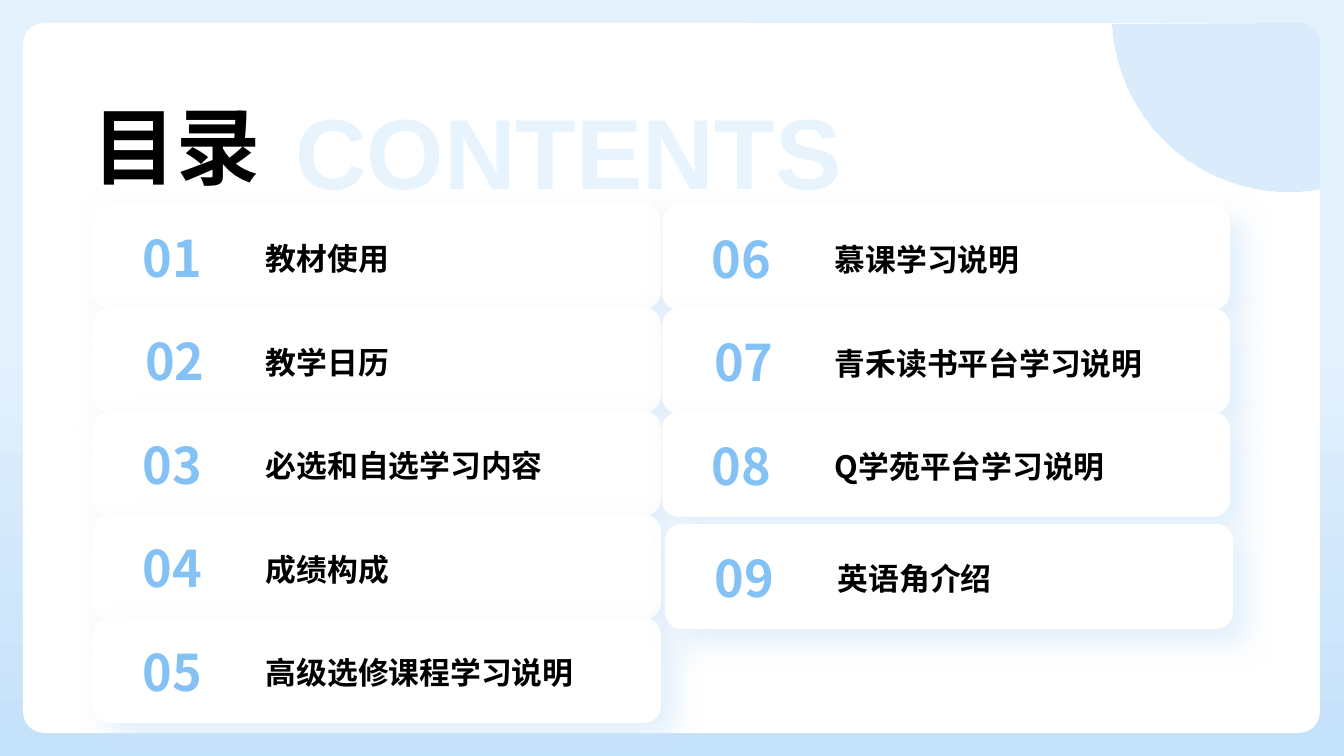
import math

import lxml.etree
import pptx
import pptx.dml.color
import pptx.enum.dml
import pptx.enum.shapes
import pptx.enum.text
import pptx.oxml.ns
import pptx.util

RGBColor = pptx.dml.color.RGBColor
PX = 914400 / 100.8
BLACK = RGBColor(0x00, 0x00, 0x00)
WHITE = RGBColor(0xFF, 0xFF, 0xFF)
BLUE = RGBColor(0x84, 0xC1, 0xF4)
PALE_BLUE = RGBColor(0xE7, 0xF3, 0xFD)
CORNER_BLUE = RGBColor(0xDA, 0xEC, 0xFB)
BACK_TOP = RGBColor(0xE3, 0xF1, 0xFC)
BACK_BOTTOM = RGBColor(0xC4, 0xE1, 0xFA)
SHADOW = RGBColor(0xCE, 0xE6, 0xFB)
ARIAL = "Arial"
NOTO = "Noto Sans CJK SC"
LEFT = pptx.enum.text.PP_ALIGN.LEFT
CENTER = pptx.enum.text.PP_ALIGN.CENTER
RECTANGLE = pptx.enum.shapes.MSO_SHAPE.RECTANGLE
ROUNDED = pptx.enum.shapes.MSO_SHAPE.ROUNDED_RECTANGLE
qn = pptx.oxml.ns.qn


def add_box(shapes, kind, box, color=WHITE):
    """Add a borderless filled shape; box is left, top, width, height in px."""
    shape = shapes.add_shape(kind, *[round(n * PX) for n in box])
    shape.fill.solid()
    shape.fill.fore_color.rgb = color
    shape.line.fill.background()
    shape.shadow.inherit = False
    return shape


def add_text(shapes, box, text, size, color, font_name=NOTO, wrap=True, align=LEFT):
    text_box = shapes.add_textbox(*[round(n * PX) for n in box])
    text_box.text_frame.word_wrap = wrap
    paragraph = text_box.text_frame.paragraphs[0]
    paragraph.alignment = align
    run = paragraph.add_run()
    run.text = text
    run.font.size = pptx.util.Pt(size)
    run.font.bold = True
    run.font.color.rgb = color
    run.font.name = font_name
    # East Asian characters take their typeface from a:ea
    lxml.etree.SubElement(run.font._element, qn("a:ea"), typeface=NOTO)
    return text_box.text_frame


presentation = pptx.Presentation()
presentation.slide_width = round(1344 * PX)
presentation.slide_height = round(756 * PX)
slide = presentation.slides.add_slide(presentation.slide_layouts[6])

# Gradient surround and white panel
backdrop = add_box(slide.shapes, RECTANGLE, (0, 0, 1344, 756))
backdrop.fill.gradient()
backdrop.fill.gradient_angle = 270
stops = backdrop.fill.gradient_stops
for stop, position, color in zip(stops, (0.45, 1), (BACK_TOP, BACK_BOTTOM)):
    stop.position = position
    stop.color.rgb = color
panel = add_box(slide.shapes, ROUNDED, (23, 23, 1297, 710))
panel.adjustments[0] = 0.03

# Circle cut off by the panel's top right corner
arcs = ((1289, 15, 177, range(177, 79, -1)), (1300, 43, 20, range(0, -91, -5)))
outline = [
    (x + radius * math.cos(math.radians(angle)), y + radius * math.sin(math.radians(angle)))
    for x, y, radius, angles in arcs
    for angle in angles
]
builder = slide.shapes.build_freeform(*outline[0], scale=PX)
builder.add_line_segments(outline[1:], close=True)
corner = builder.convert_to_shape()
corner.fill.solid()
corner.fill.fore_color.rgb = CORNER_BLUE
corner.line.fill.background()
corner.shadow.inherit = False

# Headings
title = add_text(slide.shapes, (93, 85, 184, 119), "目录", 60, BLACK, ARIAL)
title.vertical_anchor = pptx.enum.text.MSO_ANCHOR.MIDDLE
contents = add_text(slide.shapes, (295, 90, 560, 114), "CONTENTS", 71, PALE_BLUE, ARIAL, wrap=False)
for frame in (title, contents):
    frame.margin_left = frame.margin_top = frame.margin_right = frame.margin_bottom = 0

# Numbered entries: left and top of the first card of each run, then its labels
ROW_PITCH = 103.5
columns = (
    (93, 204, ("教材使用", "教学日历", "必选和自选学习内容", "成绩构成", "高级选修课程学习说明")),
    (662, 205, ("慕课学习说明", "青禾读书平台学习说明", "Q学苑平台学习说明")),
    (665, 524, ("英语角介绍",)),
)
number = 0
for left, first_top, labels in columns:
    for row, label in enumerate(labels):
        number += 1
        top = first_top + row * ROW_PITCH
        entry = slide.shapes.add_group_shape().shapes
        card = add_box(entry, ROUNDED, (left, top, 568, 105))
        card.adjustments[0] = 0.16
        effects = card._element.spPr.find(qn("a:effectLst"))
        shadow = lxml.etree.SubElement(
            effects, qn("a:outerShdw"), blurRad=str(pptx.util.Pt(20)),
            dist=str(pptx.util.Pt(14)), dir="2700000", algn="tl", rotWithShape="0",
        )
        shadow_color = lxml.etree.SubElement(shadow, qn("a:srgbClr"), val=str(SHADOW))
        lxml.etree.SubElement(shadow_color, qn("a:alpha"), val="60000")
        add_text(entry, (left + 163, top + 31, 381, 47), label, 22, BLACK)
        add_text(entry, (left + 40, top + 18, 84, 72), f"{number:02}", 36, BLUE,
                 wrap=False, align=CENTER if row == 1 else LEFT)

presentation.save("out.pptx")
